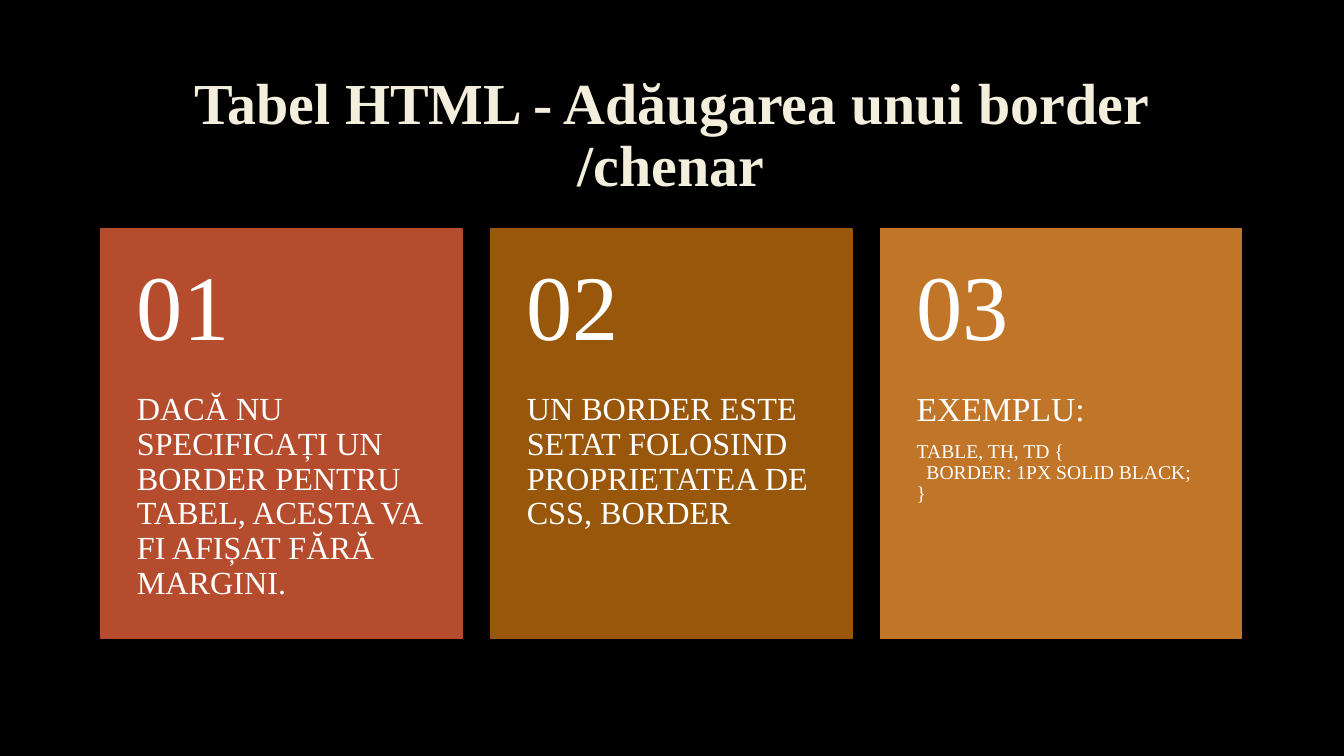
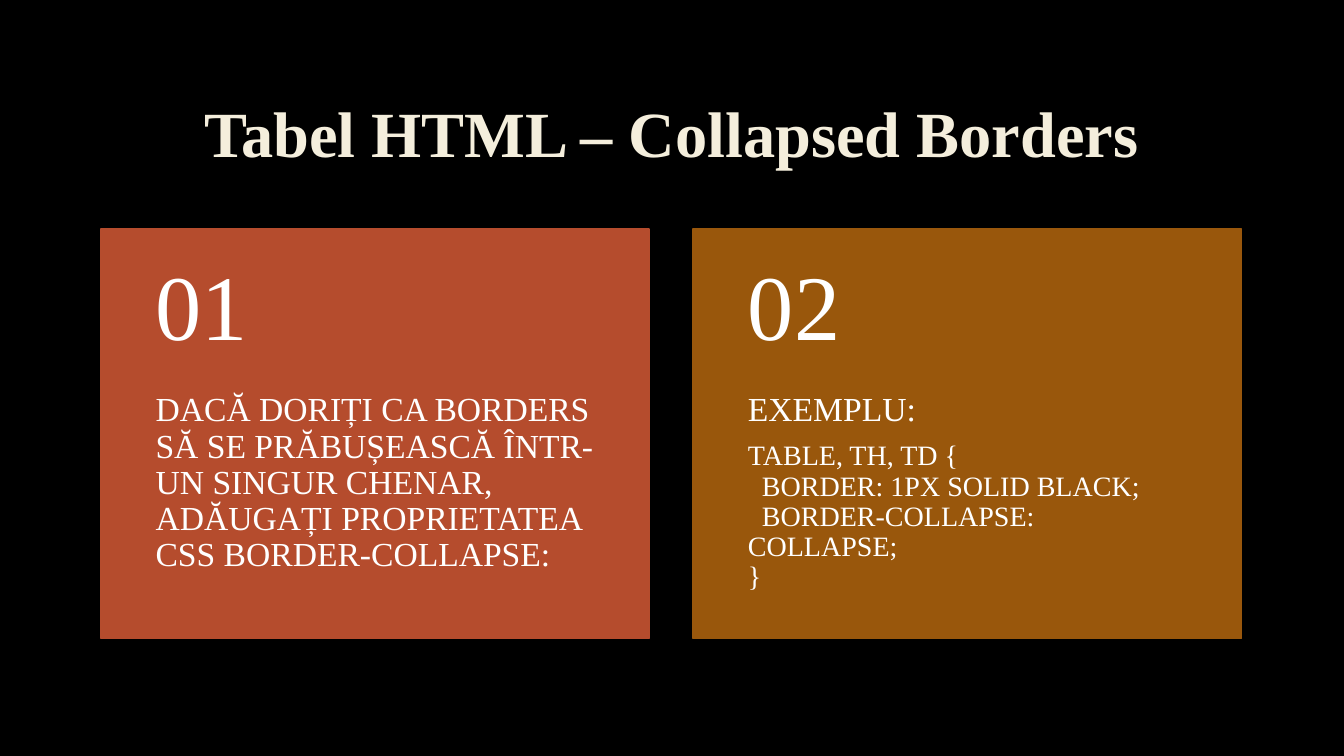
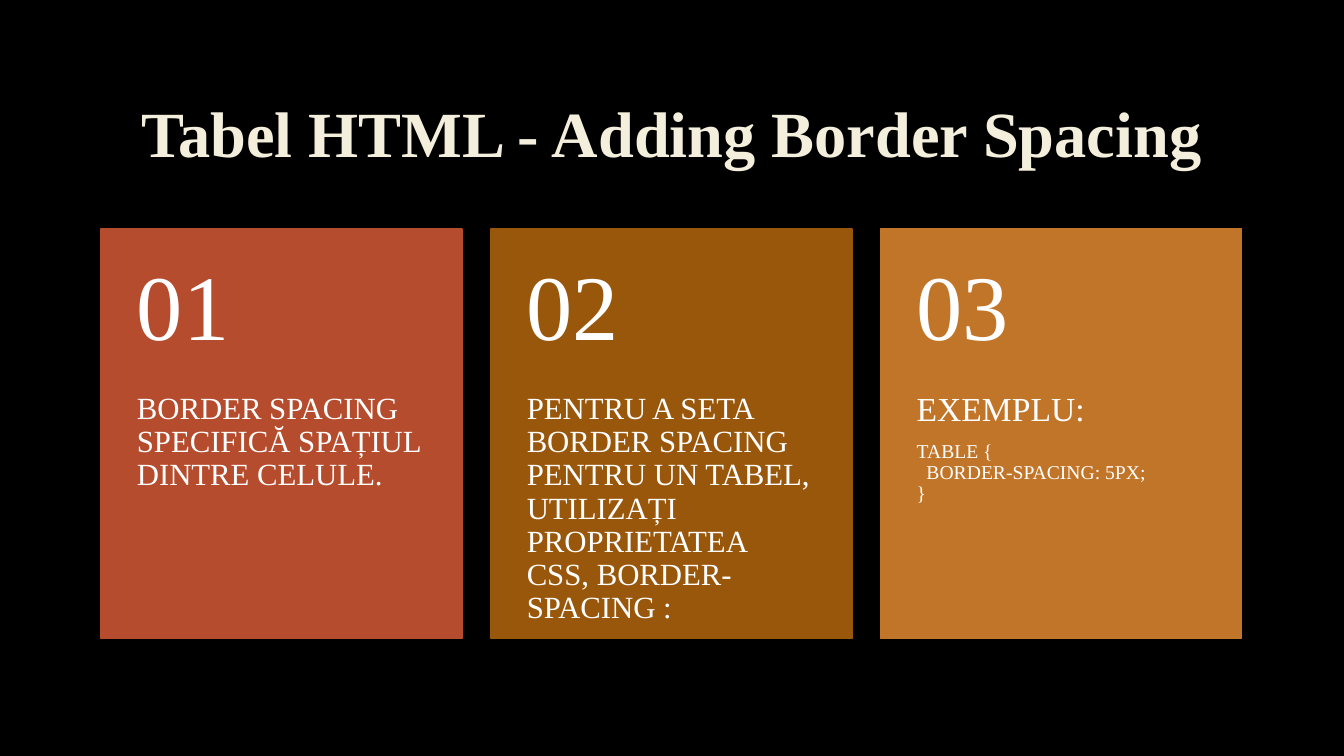
from pptx import Presentation
from pptx import util as u
from pptx.dml.color import RGBColor
from pptx.enum import shapes, text
from pptx.oxml import parse_xml
from pptx.oxml.ns import nsdecls

COLORS = {
    "background": "000000",
    "title": "F4EEDC",
    "outline": "404040",
    "text": "FFFFFF",
    "card1": "B54C2D",
    "card2": "99570C",
    "card3": "C17529",
}
FONT = "Times New Roman"

# Lengths in centimetres
LEFT, WIDTH = 2.54, 28.75
TITLE_TOP, TITLE_HEIGHT = 1.7, 3.5
CARD_TOP, CARD_HEIGHT = 5.77, 10.32
NUMBER_HEIGHT = CARD_HEIGHT * 0.4
GAP_RATIO, INSET_RATIO = 0.08, 0.1  # shares of the card width

EXAMPLE = "EXEMPLU:"
SLIDES = [
    {
        "title": "Tabel HTML - Adăugarea unui border /chenar",
        "title_size": 41.4,
        "cards": [
            {"body": "DACĂ NU SPECIFICAȚI UN BORDER PENTRU TABEL, "
                     "ACESTA VA FI AFIȘAT FĂRĂ MARGINI.", "size": 23},
            {"body": "UN BORDER ESTE SETAT FOLOSIND PROPRIETATEA DE CSS, BORDER",
             "size": 23},
            {"body": EXAMPLE, "size": 24, "code_size": 14,
             "selector": "TABLE, TH, TD", "rules": ["BORDER: 1PX SOLID BLACK;"]},
        ],
    },
    {
        "title": "Tabel HTML – Collapsed Borders",
        "title_size": 46,
        "cards": [
            {"body": "DACĂ DORIȚI CA BORDERS SĂ SE PRĂBUȘEASCĂ ÎNTR-UN SINGUR "
                     "CHENAR, ADĂUGAȚI PROPRIETATEA CSS BORDER-COLLAPSE:", "size": 24},
            {"body": EXAMPLE, "size": 24, "code_size": 20,
             "selector": "TABLE, TH, TD",
             "rules": ["BORDER: 1PX SOLID BLACK;", "BORDER-COLLAPSE: COLLAPSE;"]},
        ],
    },
    {
        "title": "Tabel HTML - Adding Border Spacing",
        "title_size": 46,
        "cards": [
            {"body": "BORDER SPACING SPECIFICĂ SPAȚIUL DINTRE CELULE.", "size": 22},
            {"body": "PENTRU A SETA BORDER SPACING PENTRU UN TABEL, UTILIZAȚI "
                     "PROPRIETATEA CSS, BORDER-SPACING :", "size": 22},
            {"body": EXAMPLE, "size": 24, "code_size": 14,
             "selector": "TABLE", "rules": ["BORDER-SPACING: 5PX;"]},
        ],
    },
]


def set_all(obj, **values):
    for name, value in values.items():
        setattr(obj, name, value)


def rgb(name):
    return RGBColor.from_string(COLORS[name])


class Deck:
    """Holds the presentation, its style and the current slide."""

    def __init__(self):
        self.prs = Presentation()
        set_all(self.prs, slide_width=u.Cm(33.87), slide_height=u.Cm(19.05))
        fill = self.prs.slide_master.background.fill
        fill.solid()
        fill.fore_color.rgb = rgb("background")
        self.s = None

    def new_slide(self):
        self.s = self.prs.slides.add_slide(self.prs.slide_layouts[5])

    def styled_run(self, p, content, size, color="text", bold=False, space_after=0):
        set_all(p, line_spacing=0.9, space_before=u.Pt(0), space_after=u.Pt(space_after))
        r = p.add_run()
        r.text = content
        set_all(r.font, name=FONT, size=u.Pt(size), bold=bold)
        r.font.color.rgb = rgb(color)
        return r

    def title(self, content, size):
        sp = self.s.shapes.title
        set_all(sp, left=u.Cm(LEFT), top=u.Cm(TITLE_TOP),
                width=u.Cm(WIDTH), height=u.Cm(TITLE_HEIGHT))
        tf = sp.text_frame
        set_all(tf, auto_size=text.MSO_AUTO_SIZE.NONE, word_wrap=True,
                vertical_anchor=text.MSO_ANCHOR.MIDDLE)
        p = tf.paragraphs[0]
        p.alignment = text.PP_ALIGN.CENTER
        r = self.styled_run(p, content, size, "title", bold=True)
        r._r.get_or_add_rPr().insert(0, parse_xml(
            f'<a:ln {nsdecls("a")} w="9525"><a:solidFill>'
            f'<a:srgbClr val="{COLORS["outline"]}"><a:alpha val="10000"/></a:srgbClr>'
            '</a:solidFill></a:ln>'))

    def text_box(self, group, box, side, top, bottom, anchor):
        tf = group.shapes.add_textbox(*map(u.Cm, box)).text_frame
        set_all(tf, word_wrap=True, vertical_anchor=anchor,
                margin_left=u.Cm(side), margin_right=u.Cm(side),
                margin_top=u.Cm(top), margin_bottom=u.Cm(bottom))
        return tf

    def code(self, tf, size, selector, rules):
        """Adds a CSS block, one paragraph a line, with its rules indented."""
        for line in [selector + " {", *rules, "}"]:
            p = tf.add_paragraph()
            self.styled_run(p, line, size)
            if line in rules:
                p._p.get_or_add_pPr().set("indent", str(u.Pt(size / 2)))

    def card(self, number, left, width, content):
        group = self.s.shapes.add_group_shape()
        sp = group.shapes.add_shape(
            shapes.MSO_SHAPE.RECTANGLE,
            *map(u.Cm, (left, CARD_TOP, width, CARD_HEIGHT)))
        sp.shadow.inherit = False
        sp.fill.solid()
        sp.fill.fore_color.rgb = sp.line.color.rgb = rgb(f"card{number}")
        sp.line.width = u.Pt(1.25)

        side = width * INSET_RATIO
        body_box = (left, CARD_TOP + NUMBER_HEIGHT, width, CARD_HEIGHT - NUMBER_HEIGHT)
        tf = self.text_box(group, body_box, side, 0, 0.91, text.MSO_ANCHOR.TOP)
        self.styled_run(tf.paragraphs[0], content["body"], content["size"], space_after=9)
        if "rules" in content:
            self.code(tf, content["code_size"], content["selector"], content["rules"])

        number_box = (left, CARD_TOP, width, NUMBER_HEIGHT)
        tf = self.text_box(group, number_box, side, 0.46, 0.46, text.MSO_ANCHOR.MIDDLE)
        self.styled_run(tf.paragraphs[0], f"{number:02}", 66)

    def cards(self, contents):
        """Spreads equal cards over the content width."""
        n = len(contents)
        width = WIDTH / (n + GAP_RATIO * (n - 1))
        for i, content in enumerate(contents):
            self.card(i + 1, LEFT + i * width * (1 + GAP_RATIO), width, content)


def main():
    deck = Deck()
    for content in SLIDES:
        deck.new_slide()
        deck.title(content["title"], content["title_size"])
        deck.cards(content["cards"])
    deck.prs.save("out.pptx")


if __name__ == "__main__":
    main()
